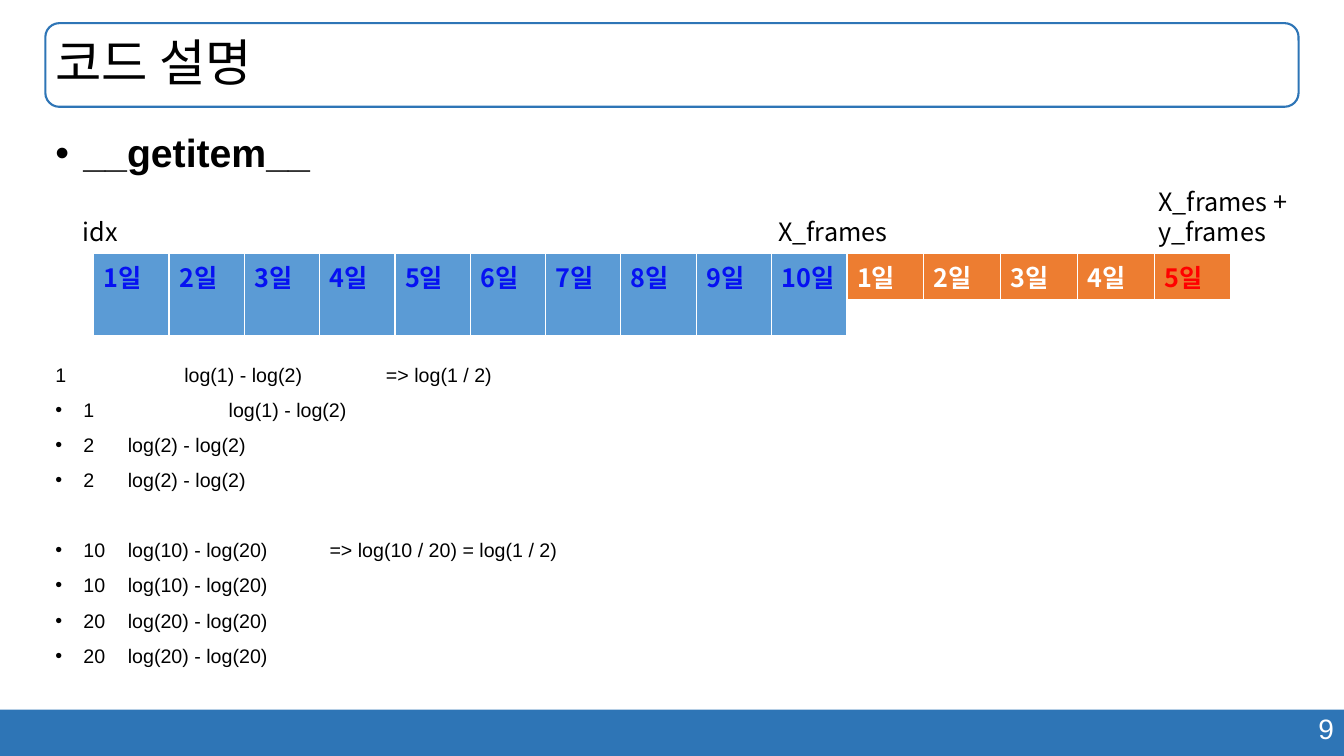
"""Build the slide that explains __getitem__ with day tables and log differences."""
import pptx
import pptx.dml.color
import pptx.enum.shapes
import pptx.enum.text
import pptx.oxml.ns
import pptx.util
from lxml import etree

Inches = pptx.util.Inches
Pt = pptx.util.Pt
Align = pptx.enum.text.PP_ALIGN
Anchor = pptx.enum.text.MSO_ANCHOR
Shape = pptx.enum.shapes.MSO_SHAPE
qn = pptx.oxml.ns.qn


class Theme:
    navy, sky, orange = "2E75B6", "5B9BD5", "ED7D31"
    black, white, blue, red = "000000", "FFFFFF", "0611F2", "FF0000"
    latin, korean = "Arial", "Noto Sans CJK KR"
    title, head, page, label, log = 36, 28, 20, 18, 14


def color(code):
    return pptx.dml.color.RGBColor.from_string(code)


def write(frame, text, size=Theme.label, ink=Theme.black, face=Theme.korean, bold=False,
          align=None, line=None, before=0, bullet=False, tabs=()):
    """Fill the first empty paragraph of the frame, or add one."""
    frame.word_wrap = True
    para = frame.paragraphs[0] if not frame.text else frame.add_paragraph()
    para.alignment = align
    para.line_spacing = line
    para.space_before = Pt(before)
    props = para._p.get_or_add_pPr()
    if bullet:
        props.set("marL", str(Inches(0.28)))
        props.set("indent", str(Inches(-0.28)))
        etree.SubElement(props, qn("a:buFont"), typeface=Theme.latin)
        etree.SubElement(props, qn("a:buChar"), char="•")
    if tabs:
        stops = etree.SubElement(props, qn("a:tabLst"))
        for stop in tabs:
            etree.SubElement(stops, qn("a:tab"), pos=str(Inches(stop)), algn="l")
    run = para.add_run()
    run.text = text
    run.font.size = Pt(size)
    run.font.bold = bold
    run.font.name = face
    run.font.color.rgb = color(ink)
    etree.SubElement(run._r.get_or_add_rPr(), qn("a:ea"), typeface=Theme.korean)


deck = pptx.Presentation()
deck.slide_width, deck.slide_height = Inches(13.33), Inches(7.5)
slide = deck.slides.add_slide(deck.slide_layouts[5])
shapes = slide.shapes

band = shapes.add_shape(Shape.RECTANGLE, 0, Inches(7.04), Inches(13.33), Inches(0.46))
band.shadow.inherit = False
band.fill.solid()
band.fill.fore_color.rgb = color(Theme.navy)
band.line.fill.background()

page = shapes.add_textbox(Inches(9.43), Inches(7.01), Inches(3.9), Inches(0.44))
write(page.text_frame, "9", size=Theme.page, ink=Theme.white, face=Theme.latin,
      align=Align.RIGHT)

spot = Inches(0.45), Inches(0.23), Inches(12.43), Inches(0.83)
border = shapes.add_shape(Shape.ROUNDED_RECTANGLE, *spot)
border.shadow.inherit = False
border.fill.background()
border.line.color.rgb = color(Theme.navy)
border.line.width = Pt(1.5)

title = shapes.title
title.left, title.top, title.width, title.height = spot
title.text_frame.vertical_anchor = Anchor.MIDDLE
write(title.text_frame, "코드 설명", size=Theme.title, face=Theme.latin,
      align=Align.LEFT, line=0.9)

head = shapes.add_textbox(Inches(0.45), Inches(1.33), Inches(12.44), Inches(0.45))
head.text_frame.margin_top = 0
write(head.text_frame, "__getitem__", size=Theme.head, face=Theme.latin, bold=True,
      line=0.9, bullet=True)

logs = shapes.add_textbox(Inches(0.45), Inches(3.62), Inches(12.44), Inches(3.18))
logs.text_frame.margin_top = 0
rows = [
    ("1\tlog(1) - log(2)\t=> log(1 / 2)", 0),
    ("1\t\tlog(1) - log(2)", 10),
    ("2\tlog(2) - log(2)", 10),
    ("2\tlog(2) - log(2)", 10),
    ("10\tlog(10) - log(20)\t=> log(10 / 20) = log(1 / 2)", 35),
    ("10\tlog(10) - log(20)", 10),
    ("20\tlog(20) - log(20)", 10),
    ("20\tlog(20) - log(20)", 10),
]
for i, (text, gap) in enumerate(rows):
    write(logs.text_frame, text, size=Theme.log, face=Theme.latin, line=Pt(15.1),
          before=gap, bullet=i > 0, tabs=(0.72, 1.72, 2.72) if i else (1.28, 3.28))

for left, width, height, days, fill, ink, last in [
    (0.93, 7.47, 0.82, 10, Theme.sky, Theme.blue, Theme.blue),
    (8.4, 3.81, 0.46, 5, Theme.orange, Theme.white, Theme.red),
]:
    grid = shapes.add_table(1, days, Inches(left), Inches(2.51), Inches(width),
                            Inches(height)).table
    for day, cell in enumerate(grid.rows[0].cells, 1):
        cell.fill.solid()
        cell.fill.fore_color.rgb = color(fill)
        write(cell.text_frame, f"{day}일", ink=last if day == days else ink,
              bold=True, align=Align.JUSTIFY)

for text, left, top, width, height in [
    ("idx", 0.72, 2.1, 1.12, 0.4),
    ("X_frames", 7.62, 2.1, 1.82, 0.4),
    ("X_frames + y_frames", 11.39, 1.8, 1.54, 0.71),
]:
    label = shapes.add_textbox(Inches(left), Inches(top), Inches(width), Inches(height))
    write(label.text_frame, text)

deck.save("out.pptx")
